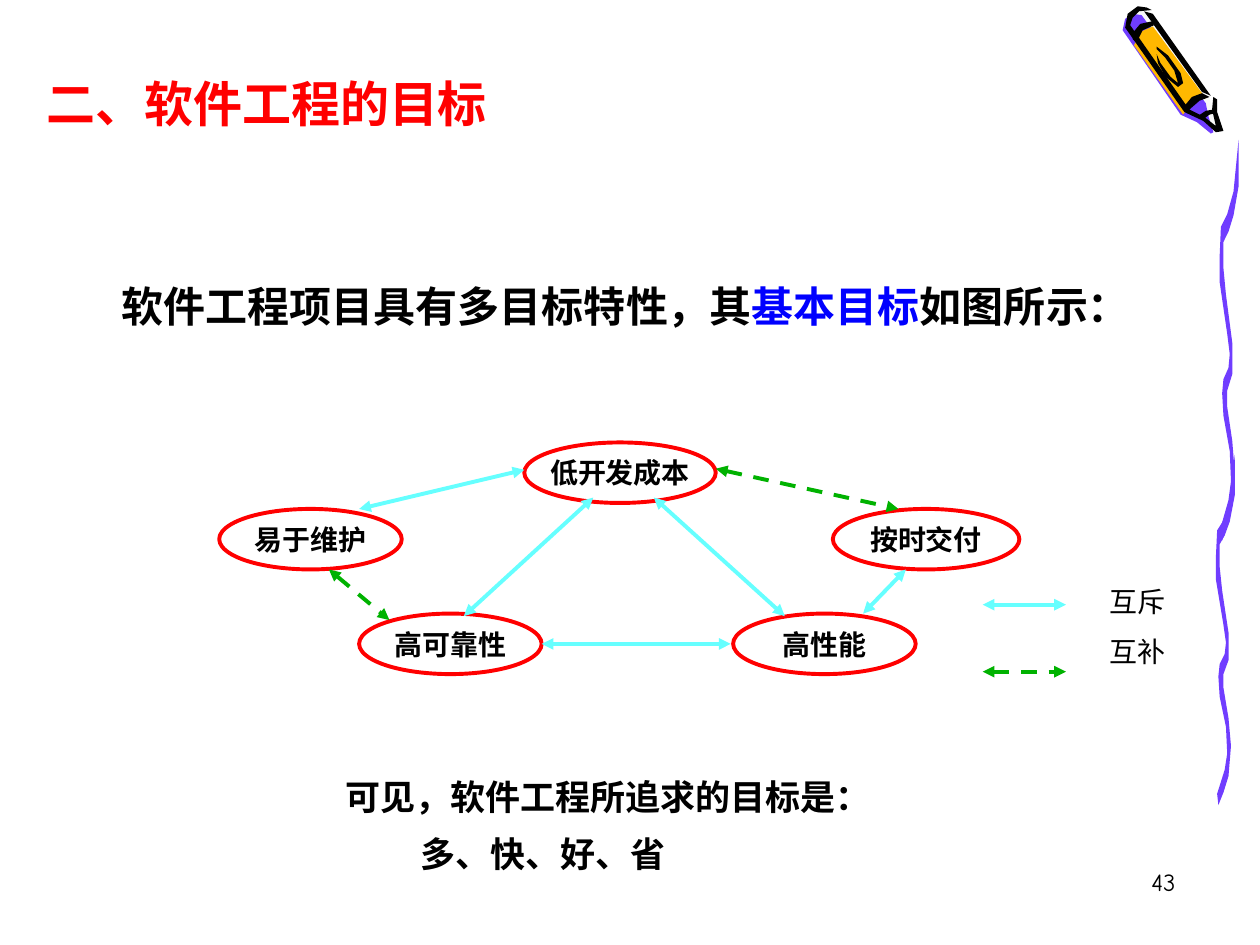
from lxml.etree import SubElement
from pptx import Presentation
from pptx.dml.color import RGBColor
from pptx.enum.dml import MSO_LINE_DASH_STYLE as Dash
from pptx.enum.shapes import MSO_CONNECTOR as Link, MSO_SHAPE as Kind
from pptx.enum.text import MSO_ANCHOR as Anchor, PP_ALIGN as Align
from pptx.oxml.ns import qn
from pptx.util import Cm, Pt

RED, BLUE, BLACK, WHITE = "FF0000", "0000FF", "000000", "FFFFFF"
CYAN, GREEN, VIOLET, AMBER = "66FFFF", "00B200", "703DFF", "FFB800"
SANS, SERIF, COMIC = "Noto Sans CJK SC", "Times New Roman", "Comic Neue"

# Outlines are in hundredths of an inch.
UNIT = Cm(0.0254)
WAVE = [(969, 418), (975, 397), (977, 382), (976, 358), (971, 330), (970, 312),
        (971, 301), (975, 292), (976, 281), (974, 265), (968, 224), (968, 203),
        (969, 180), (974, 170), (979, 152), (983, 111), (983, 148), (979, 171),
        (975, 184), (971, 192), (971, 213), (973, 234), (978, 272), (978, 297),
        (974, 310), (974, 323), (978, 350), (980, 375), (978, 402), (974, 417),
        (970, 429)]
CRAYON = [
    ("F8F8F8", [(968, 100), (963, 86), (953, 64), (911, 7), (904, 6), (897, 11),
                (896, 20), (941, 86), (956, 93), (966, 102)]),
    (VIOLET, [(906, 12), (957, 82), (959, 92), (963, 105), (961, 106), (950, 97),
              (937, 91), (891, 24), (893, 15), (899, 11)]),
    (AMBER, [(900, 36), (939, 91), (947, 80), (957, 78), (915, 21), (906, 25)]),
    (BLACK, [(963, 87), (957, 88), (951, 92), (956, 94), (960, 91), (964, 90)]),
    (BLACK, [(910, 6), (903, 5), (895, 11), (893, 22), (940, 89), (955, 96),
             (965, 105), (971, 104), (966, 89), (966, 79), (963, 77), (962, 87),
             (965, 100), (956, 93), (944, 87), (952, 80), (960, 77), (954, 74),
             (946, 77), (941, 83), (897, 20), (899, 14), (904, 9), (914, 8)]),
    (BLACK, [(915, 11), (961, 76), (954, 73), (908, 9)]),
    (BLACK, [(914, 17), (905, 19), (900, 25), (899, 31), (902, 34), (907, 24),
             (916, 20)]),
    (BLACK, [(918, 39), (925, 46), (932, 56), (935, 66), (929, 61), (921, 50),
             (918, 43), (919, 50), (925, 61), (935, 69), (939, 66), (937, 58),
             (927, 44), (918, 37)]),
]
GOALS = [("低开发成本", 10.57, 8.92, 3.86), ("易于维护", 4.42, 10.26, 3.68),
         ("高可靠性", 7.24, 12.37, 3.68), ("高性能", 14.78, 12.37, 3.68),
         ("按时交付", 16.79, 10.26, 3.76)]
CLASH = [(7.24, 10.26, 10.57, 9.47), (11.96, 10.03, 9.35, 12.42),
         (10.92, 12.98, 14.73, 12.98), (17.4, 12.37, 18.26, 11.48),
         (13.18, 10.03, 15.82, 12.42), (19.81, 12.19, 21.49, 12.19)]
AID = [(6.63, 11.48, 7.85, 12.5), (14.43, 9.45, 18.11, 10.26),
       (19.81, 13.54, 21.49, 13.54)]


def rgb(code):
    return RGBColor.from_string(code)


def put(item, vals):
    for name, val in vals.items():
        setattr(item, name, val)


class Board:
    def __init__(self, slide):
        self.slide = slide
        self.shapes = slide.shapes
        self.edge = {"width": Pt(2.25)}

    def fill_in(self, para, runs, size, face, bold):
        """Add runs, given as (text, colour) pairs."""
        for text, tint in runs:
            run = para.add_run()
            run.text = text
            put(run.font, {"size": Pt(size), "name": face, "bold": bold})
            run.font.color.rgb = rgb(tint)
            SubElement(run._r.get_or_add_rPr(), qn("a:ea"), typeface=SANS)

    def text(self, box, paras, size, face, bold=False, **form):
        """Add a text box; gap and inset shape every paragraph after the first."""
        frame = self.shapes.add_textbox(*map(Cm, box)).text_frame
        frame.word_wrap = True
        for i, runs in enumerate(paras):
            para = frame.add_paragraph() if i else frame.paragraphs[0]
            put(para, {"alignment": form.get("align", Align.LEFT),
                       "line_spacing": Pt(round(size * 1.2))})
            if i:
                para.space_before = Pt(form["gap"])
                para._p.get_or_add_pPr().set("marL", str(Cm(form.get("inset", 0))))
            self.fill_in(para, runs, size, face, bold)

    def oval(self, label, x, y, w):
        oval = self.shapes.add_shape(Kind.OVAL, Cm(x), Cm(y), Cm(w), Cm(1.22))
        oval.shadow.inherit = False
        oval.fill.solid()
        oval.fill.fore_color.rgb = rgb(WHITE)
        oval.line.color.rgb = rgb(RED)
        put(oval.line, self.edge)
        put(oval.text_frame, {"word_wrap": False, "vertical_anchor": Anchor.MIDDLE})
        para = oval.text_frame.paragraphs[0]
        para.alignment = Align.CENTER
        self.fill_in(para, [(label, BLACK)], 16, SERIF, True)

    def arrow(self, ends, tint, dash=None):
        link = self.shapes.add_connector(Link.STRAIGHT, *map(Cm, ends))
        link.line.color.rgb = rgb(tint)
        put(link.line, {**self.edge, "dash_style": dash})
        prop = link._element.spPr
        for tip in ("a:headEnd", "a:tailEnd"):
            SubElement(prop.get_or_add_ln(), qn(tip), type="triangle")
        SubElement(prop, qn("a:effectLst"))

    def outline(self, points, tint):
        pen = self.shapes.build_freeform(*points[0], scale=UNIT)
        pen.add_line_segments(points[1:], close=True)
        form = pen.convert_to_shape()
        form.shadow.inherit = False
        form.fill.solid()
        form.fill.fore_color.rgb = rgb(tint)
        form.line.fill.background()


def main():
    deck = Presentation()
    put(deck, {"slide_width": Cm(25.4), "slide_height": Cm(19.05)})
    board = Board(deck.slides.add_slide(deck.slide_layouts[6]))

    low = [(x - 3, round(361 + (y - 111) * 0.875)) for x, y in WAVE]
    for points in (low, WAVE):
        board.outline(points, VIOLET)
    for tint, points in CRAYON:
        board.outline(points, tint)

    board.text((18.67, 17.35, 5.28, 1.27), [[("43", BLACK)]], 14, COMIC,
               align=Align.RIGHT)
    board.text((0.69, 1.35, 22.86, 2.11), [[("二、软件工程的目标", RED)]], 28,
               COMIC, True)
    board.text((2.21, 5.52, 21.39, 1.27),
               [[("软件工程项目具有多目标特性，其", BLACK), ("基本目标", BLUE),
                 ("如图所示：", BLACK)]], 24, SANS, True)

    for goal in GOALS:
        board.oval(*goal)
    for ends in CLASH:
        board.arrow(ends, CYAN)
    for ends in AID:
        board.arrow(ends, GREEN, Dash.DASH)
    board.text((22.12, 11.66, 2.44, 1.96), [[("互斥", BLACK)], [("互补", BLACK)]],
               16, SERIF, gap=10)

    board.text((6.71, 15.5, 13.41, 2.31),
               [[("可见，软件工程所追求的目标是：", BLACK)],
                [("多、快、好、省", BLACK)]], 20, SANS, True, gap=9, inset=1.52)
    deck.save("out.pptx")


if __name__ == "__main__":
    main()
